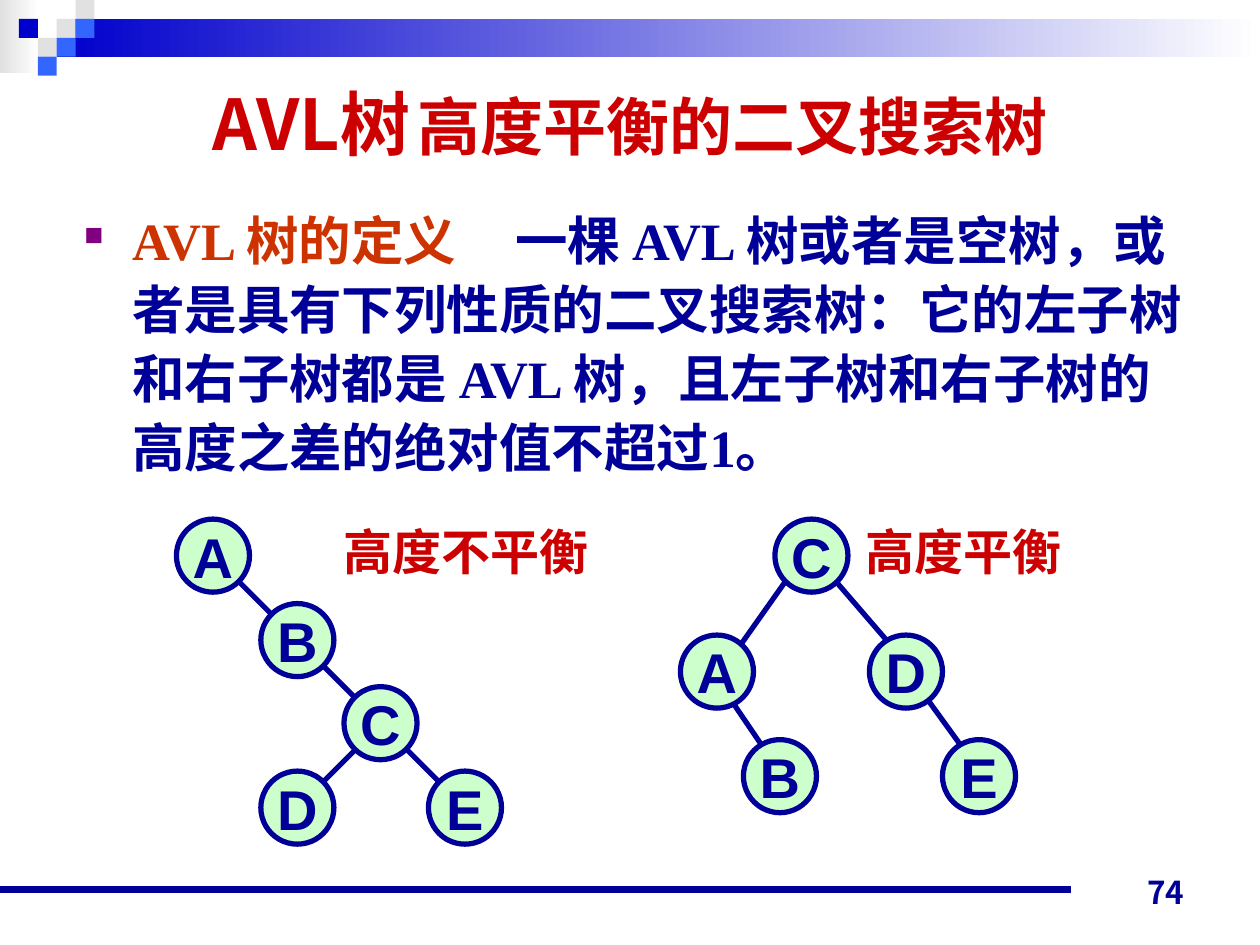
from lxml.etree import SubElement
from pptx import Presentation
from pptx.dml.color import RGBColor
from pptx.enum.shapes import MSO_CONNECTOR, MSO_SHAPE
from pptx.enum.text import MSO_ANCHOR, PP_ALIGN
from pptx.oxml.ns import qn
from pptx.util import Inches, Pt

NAVY = RGBColor(0x00, 0x00, 0x99)
RED = RGBColor(0xCC, 0x00, 0x00)
RUST = RGBColor(0xCC, 0x33, 0x00)
MINT = RGBColor(0xCC, 0xFF, 0xCC)
GREY = RGBColor(0xE1, 0xE1, 0xE1)
WHITE = RGBColor(0xFF, 0xFF, 0xFF)
BLUE = RGBColor(0x00, 0x00, 0xCC)
SKY = RGBColor(0x33, 0x66, 0xFF)

CJK = "Noto Sans CJK JP"
ROMAN = "Times New Roman"
NODE = 0.58
TILE = 0.15

BANDS = [((0, 0, 0.31, 0.58), GREY), ((0.45, 0.15, 9.55, 0.3), BLUE)]
TILES = [(3, 1, GREY), (4, 0, GREY), (4, 1, SKY), (2, 2, GREY),
         (1, 1, BLUE), (3, 2, SKY), (2, 3, SKY)]

HEAD = dict(name=CJK, size=Pt(40), bold=True)
TITLE = [("AVL树", RED, HEAD), (" ", RED, HEAD | dict(size=Pt(18))),
         ("高度平衡的二叉搜索树", RED, HEAD | dict(size=Pt(36)))]
TEXT = dict(name=ROMAN, size=Pt(30), bold=True)
BODY = [("AVL 树的定义\t", RUST, TEXT),
        ("一棵 AVL 树或者是空树，或者是具有下列性质的二叉搜索树："
         "它的左子树和右子树都是 AVL 树，且左子树和右子树的"
         "高度之差的绝对值不超过1。", NAVY, TEXT)]
LABEL = dict(name=ROMAN, size=Pt(28), bold=True)
LABELS = [("高度不平衡", 2.63, 2.2), ("高度平衡", 6.77, 1.8)]
PAGE = [("74", NAVY, dict(name=CJK, size=Pt(18), bold=True))]
LETTER = dict(name="Arial", size=Pt(32), bold=True)

NODES = [("A", 1.4, 4.12), ("B", 2.07, 4.79), ("C", 2.73, 5.45),
         ("D", 2.07, 6.12), ("E", 3.4, 6.12),
         ("C", 6.15, 4.12), ("A", 5.4, 5.04), ("D", 6.9, 5.04),
         ("B", 5.9, 5.87), ("E", 7.48, 5.87)]
EDGES = [(1.73, 4.45, 2.23, 4.95), (2.4, 5.12, 2.9, 5.62),
         (2.9, 5.87, 2.4, 6.37), (3.07, 5.79, 3.57, 6.29),
         (6.23, 4.62, 5.82, 5.2), (6.57, 4.54, 7.07, 5.12),
         (5.73, 5.45, 6.07, 5.95), (7.23, 5.37, 7.65, 5.95)]


def add_runs(par, runs):
    for text, color, style in runs:
        run = par.add_run()
        run.text = text
        for key, value in style.items():
            setattr(run.font, key, value)
        run.font.color.rgb = color
        props = run._r.get_or_add_rPr()
        props.set("lang", "zh-CN")
        SubElement(props, qn("a:ea"), typeface=CJK)


def add_text(slide, box, runs, align, anchor, wrap=True):
    frame = slide.shapes.add_textbox(*map(Inches, box)).text_frame
    frame.word_wrap = wrap
    frame.vertical_anchor = anchor
    par = frame.paragraphs[0]
    par.alignment = align
    add_runs(par, runs)
    return par


def add_form(slide, kind, box, color):
    shape = slide.shapes.add_shape(kind, *map(Inches, box))
    shape.shadow.inherit = False
    shape.fill.solid()
    shape.fill.fore_color.rgb = color
    shape.line.fill.background()
    return shape


def add_line(slide, ends, width):
    line = slide.shapes.add_connector(MSO_CONNECTOR.STRAIGHT, *map(Inches, ends))
    line.line.color.rgb = NAVY
    line.line.width = Pt(width)
    SubElement(line._element.spPr, qn("a:effectLst"))


def add_band(slide, box, color):
    fill = add_form(slide, MSO_SHAPE.RECTANGLE, box, color).fill
    fill.gradient()
    fill.gradient_angle = 0
    for stop, place, shade in zip(fill.gradient_stops, (0, 1), (color, WHITE)):
        stop.position = place
        stop.color.rgb = shade


def add_node(slide, name, left, top):
    node = add_form(slide, MSO_SHAPE.OVAL, (left, top, NODE, NODE), MINT)
    node.line.color.rgb = NAVY
    node.line.width = Pt(3)
    frame = node.text_frame
    frame.word_wrap = False
    frame.vertical_anchor = MSO_ANCHOR.MIDDLE
    frame.paragraphs[0].alignment = PP_ALIGN.CENTER
    add_runs(frame.paragraphs[0], [(name, NAVY, LETTER)])


def add_body(slide):
    par = add_text(slide, (0.57, 1.55, 9, 2.44), BODY, PP_ALIGN.LEFT, MSO_ANCHOR.TOP)
    par.line_spacing = Pt(39.5)
    props = par._p.get_or_add_pPr()
    props.set("marL", str(Inches(0.38)))
    props.set("indent", str(-Inches(0.38)))
    tint = SubElement(props, qn("a:buClr"))
    SubElement(tint, qn("a:srgbClr"), val="800080")
    SubElement(props, qn("a:buSzPct"), val="50000")
    SubElement(props, qn("a:buChar"), char="■")
    tabs = SubElement(props, qn("a:tabLst"))
    SubElement(tabs, qn("a:tab"), pos=str(Inches(3.42)), algn="l")


def main():
    deck = Presentation()
    deck.slide_width, deck.slide_height = Inches(10), Inches(7.5)
    slide = deck.slides.add_slide(deck.slide_layouts[6])
    for box, color in BANDS:
        add_band(slide, box, color)
    for col, row, color in TILES:
        box = (col * TILE, row * TILE, TILE, TILE)
        add_form(slide, MSO_SHAPE.RECTANGLE, box, color)
    add_line(slide, (0, 7.06, 8.5, 7.06), 4.5)
    add_text(slide, (7.17, 6.78, 2.33, 0.5), PAGE, PP_ALIGN.RIGHT, MSO_ANCHOR.BOTTOM)
    add_text(slide, (1.22, 0.4, 7.56, 1.14), TITLE, PP_ALIGN.CENTER, MSO_ANCHOR.MIDDLE)
    for text, left, width in LABELS:
        add_text(slide, (left, 4.09, width, 0.57), [(text, RED, LABEL)],
                 PP_ALIGN.LEFT, MSO_ANCHOR.MIDDLE, False)
    for ends in EDGES:
        add_line(slide, ends, 3)
    for node in NODES:
        add_node(slide, *node)
    add_body(slide)
    deck.save("out.pptx")


if __name__ == "__main__":
    main()
